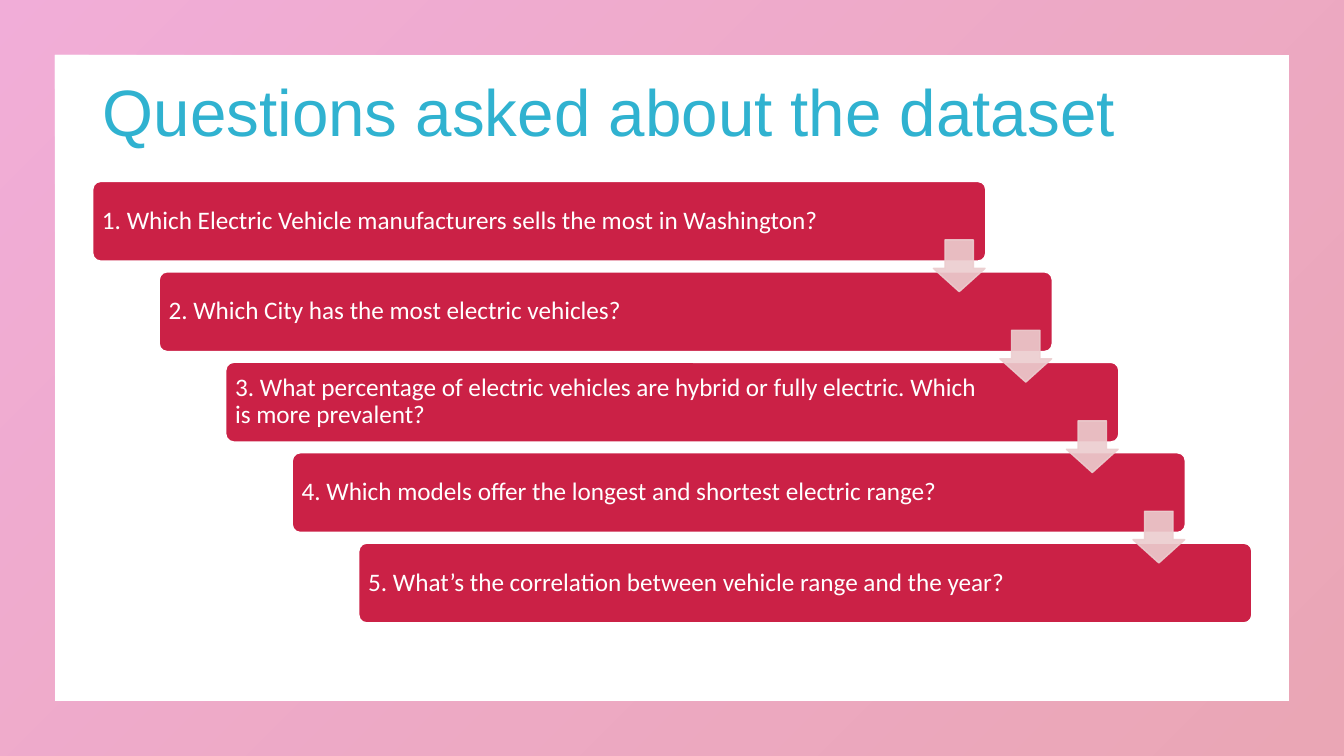
from pptx import Presentation
from pptx.dml.color import RGBColor
from pptx.enum.shapes import MSO_SHAPE as Shape
from pptx.enum.text import MSO_ANCHOR as Anchor, MSO_AUTO_SIZE as AutoSize, PP_ALIGN as Align
from pptx.oxml.ns import qn
from pptx.util import Pt
from lxml.etree import SubElement

QUESTIONS = [
    "1. Which Electric Vehicle manufacturers sells the most in Washington?",
    "2. Which City has the most electric vehicles?",
    "3. What percentage of electric vehicles are hybrid or fully electric. Which is more prevalent?",
    "4. Which models offer the longest and shortest electric range?",
    "5. What’s the correlation between vehicle range and the year?",
]
RED, ROSE, CYAN, PINK, WHITE = "CB2146", "ECCDCF", "30B2D0", "DD339E", "FFFFFF"
STEP_X, STEP_Y = 47.52, 64.6


def color(value):
    return RGBColor.from_string(value)


def set_all(target, values):
    for name, value in values.items():
        setattr(target, name, value)


def set_opacity(shape, percent):
    for node in shape._element.spPr.iter(qn("a:srgbClr")):
        SubElement(node, qn("a:alpha")).set("val", str(percent * 1000))


def add_shape(page, kind, bounds, adjustments):
    shape = page.shapes.add_shape(kind, *map(Pt, bounds))
    shape.shadow.inherit = False
    for index, value in enumerate(adjustments):
        shape.adjustments[index] = value
    return shape


def paint(shape, fill, line):
    shape.fill.solid()
    shape.fill.fore_color.rgb = color(fill)
    shape.line.color.rgb = color(line)
    shape.line.width = Pt(1)


def write(frame, text, frame_format, font_format, ink):
    set_all(frame, {"word_wrap": True, "auto_size": AutoSize.NONE, **frame_format})
    para = frame.paragraphs[0]
    set_all(para, {"alignment": Align.LEFT, "line_spacing": 0.9, "space_before": Pt(0)})
    span = para.add_run()
    span.text = text
    set_all(span.font, font_format)
    span.font.color.rgb = color(ink)


def add_border(page, size):
    border = add_shape(page, Shape.FRAME, (0, 0, *size), [0.072])
    border.fill.gradient()
    border.fill.gradient_angle = 315
    for stop, (position, shade) in zip(border.fill.gradient_stops, [(0, PINK), (1, RED)]):
        stop.position = position
        stop.color.rgb = color(shade)
    border.line.fill.background()
    set_opacity(border, 40)


def set_title(page, text):
    title = page.shapes.title
    set_all(title, {"left": Pt(66.24), "top": Pt(53.28), "width": Pt(828), "height": Pt(104.4)})
    write(title.text_frame, text, {"vertical_anchor": Anchor.TOP},
          {"name": "Arial", "size": Pt(46.8)}, CYAN)


def add_question(page, index, text):
    bounds = (66.24 + index * STEP_X, 129.6 + index * STEP_Y, 637.92, 56.88)
    box = add_shape(page, Shape.ROUNDED_RECTANGLE, bounds, [0.1])
    paint(box, RED, WHITE)
    margins = {"margin_left": Pt(5), "margin_right": Pt(90),
               "margin_top": Pt(5), "margin_bottom": Pt(5)}
    write(box.text_frame, text, {"vertical_anchor": Anchor.MIDDLE, **margins},
          {"name": "Calibri", "size": Pt(18)}, WHITE)


def add_arrow(page, index):
    bounds = (666.72 + index * STEP_X, 171.4 + index * STEP_Y, 36.96, 36.96)
    arrow = add_shape(page, Shape.DOWN_ARROW, bounds, [0.55, 0.45])
    paint(arrow, ROSE, ROSE)
    set_opacity(arrow, 90)


def main():
    deck = Presentation()
    set_all(deck, {"slide_width": Pt(960), "slide_height": Pt(540)})
    page = deck.slides.add_slide(deck.slide_layouts[5])
    add_border(page, (960, 540))
    set_title(page, "Questions asked about the dataset")
    for index, text in enumerate(QUESTIONS):
        add_question(page, index, text)
    for index in range(len(QUESTIONS) - 1):
        add_arrow(page, index)
    deck.save("out.pptx")


if __name__ == "__main__":
    main()
